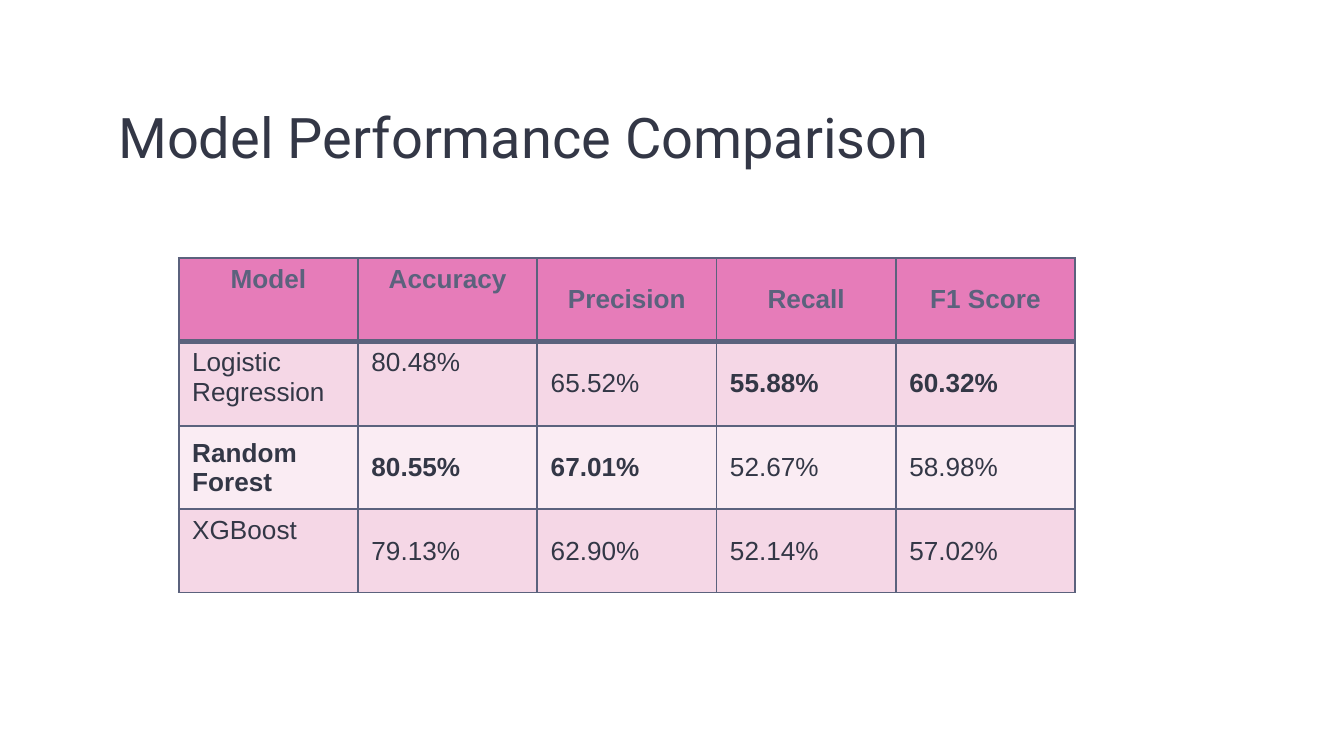
"""Build a slide with a table comparing the performance of three models."""
from lxml import etree
from pptx import Presentation
from pptx.dml.color import RGBColor
from pptx.enum.text import MSO_ANCHOR, PP_ALIGN
from pptx.oxml.ns import qn
from pptx.util import Inches, Pt

TOP, MIDDLE = MSO_ANCHOR.TOP, MSO_ANCHOR.MIDDLE
LEFT, CENTER = PP_ALIGN.LEFT, PP_ALIGN.CENTER
INK = RGBColor(0x33, 0x37, 0x46)
SLATE = RGBColor(0x5B, 0x62, 0x7D)
HEADER_PINK = RGBColor(0xE6, 0x7C, 0xB9)
BAND_PINK = RGBColor(0xF5, 0xD7, 0xE6)
PALE_PINK = RGBColor(0xFA, 0xEC, 0xF3)

ROWS = [
    ["Model", "Accuracy", "Precision", "Recall", "F1 Score"],
    ["Logistic Regression", "80.48%", "65.52%", "55.88%", "60.32%"],
    ["Random Forest", "80.55%", "67.01%", "52.67%", "58.98%"],
    ["XGBoost", "79.13%", "62.90%", "52.14%", "57.02%"],
]
ROW_FILLS = [HEADER_PINK, BAND_PINK, PALE_PINK, BAND_PINK]
ROW_HEIGHTS = [0.62, 0.63, 0.62, 0.62]
BEST = {"Random Forest", "80.55%", "67.01%", "55.88%", "60.32%"}
TOP_ANCHORED = {"Model", "Accuracy", "Logistic Regression", "80.48%", "XGBoost"}


def add_text(para, text, font_name, size, color, bold=False):
    span = para.add_run()
    span.text = text
    span.font.name = font_name
    span.font.size = Pt(size)
    span.font.color.rgb = color
    span.font.bold = bold


def add_border(cell, side, width):
    properties = cell._tc.get_or_add_tcPr()
    line = etree.SubElement(properties, qn(f"a:ln{side}"), w=str(Pt(width)))
    fill = etree.SubElement(line, qn("a:solidFill"))
    etree.SubElement(fill, qn("a:srgbClr"), val=str(SLATE))


deck = Presentation()
deck.slide_width = Inches(10)
deck.slide_height = Inches(10 * 9 / 16)
page = deck.slides.add_slide(deck.slide_layouts[5])

title = page.shapes.title
title.left, title.top = Inches(0.78), Inches(0.59)
title.width, title.height = Inches(8.44), Inches(0.77)
box = title.text_frame
box.margin_left = box.margin_right = Inches(0.1)
box.margin_top = box.margin_bottom = Inches(0.1)
box.vertical_anchor = TOP
para = box.paragraphs[0]
para.alignment = LEFT
para.line_spacing = 1.15
add_text(para, "Model Performance Comparison", "Roboto", 30, INK)

frame = page.shapes.add_table(
    len(ROWS), len(ROWS[0]), Inches(1.33), Inches(1.92), Inches(6.67), Inches(2.49)
)
table = frame.table
for row, height in zip(table.rows, ROW_HEIGHTS):
    row.height = Inches(height)

for row_index, values in enumerate(ROWS):
    is_header = row_index == 0
    for column_index, text in enumerate(values):
        cell = table.cell(row_index, column_index)
        for side in "LRTB":
            under_header = (row_index, side) in {(0, "B"), (1, "T")}
            add_border(cell, side, 3 if under_header else 1)
        cell.fill.solid()
        cell.fill.fore_color.rgb = ROW_FILLS[row_index]
        cell.vertical_anchor = TOP if text in TOP_ANCHORED else MIDDLE
        para = cell.text_frame.paragraphs[0]
        para.alignment = CENTER if is_header else LEFT
        color = SLATE if is_header else INK
        add_text(para, text, "Arial", 14, color, is_header or text in BEST)

deck.save("out.pptx")
